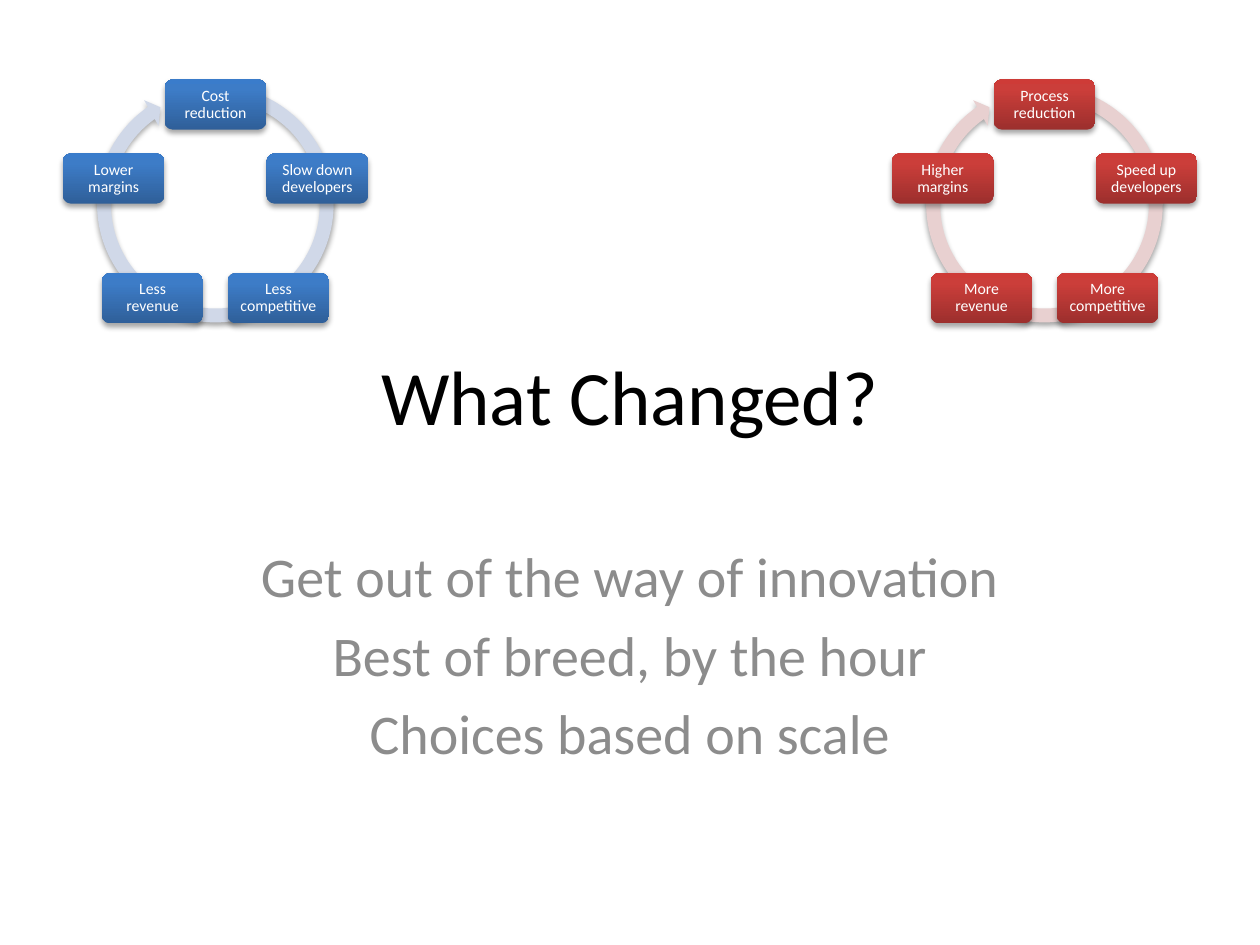
from math import cos, pi, sin

from lxml.etree import SubElement
from pptx import Presentation
from pptx.dml.color import RGBColor
from pptx.enum.shapes import MSO_SHAPE as Shape
from pptx.enum.text import MSO_ANCHOR as Anchor, PP_ALIGN as Align
from pptx.oxml.ns import qn
from pptx.util import Inches, Pt

W, H = 10, 7.5
FONT = "Calibri"
COLORS = {"title": "000000", "subtitle": "8C8C8C", "label": "FFFFFF", "shadow": "000000"}
BLUE = {"ring": "D0D8E8", "stops": [(0, "2F5F99"), (80, "3D7CC7"), (100, "3A7CCB")]}
RED = {"ring": "E8D0D0", "stops": [(0, "9C2F2D"), (80, "CB3E3A"), (100, "CE3B37")]}
RING_ADJ = (0.055, 3.307, 140.942, 171.951, 0.058)
SLOW = ["Cost reduction", "Slow down developers", "Less competitive",
        "Less revenue", "Lower margins"]
FAST = ["Process reduction", "Speed up developers", "More competitive",
        "More revenue", "Higher margins"]


def add_color(parent, color):
    """Append an RGB colour element and return it."""
    return SubElement(parent, qn("a:srgbClr"), val=color)


def add_shadow(sp):
    """Give a shape a soft shadow that falls straight down."""
    sp.shadow.inherit = False
    effects = sp._element.spPr.find(qn("a:effectLst"))
    outer = SubElement(effects, qn("a:outerShdw"), blurRad=str(Pt(3.1)),
                       dist=str(Pt(1.8)), dir="5400000", rotWithShape="0")
    SubElement(add_color(outer, COLORS["shadow"]), qn("a:alpha"), val="35000")


def fill_gradient(sp, stops):
    """Fill a shape with a gradient that runs from bottom to top."""
    sp.fill.gradient()
    sp.fill.gradient_angle = 90
    gs_list = sp._element.spPr.find(".//" + qn("a:gsLst"))
    gs_list.clear()
    for pos, color in stops:
        add_color(SubElement(gs_list, qn("a:gs"), pos=str(pos * 1000)), color)


def add_block(shapes, kind, box):
    """Add a borderless shape with a shadow in the given box."""
    sp = shapes.add_shape(kind, *map(Inches, box))
    sp.line.fill.background()
    add_shadow(sp)
    return sp


def write_text(sp, lines, size, color, anchor, before=0):
    """Write centred paragraphs into a shape."""
    tf = sp.text_frame
    tf.word_wrap = True
    tf.vertical_anchor = anchor
    tf.text = "\n".join(lines)
    for i, p in enumerate(tf.paragraphs):
        p.alignment = Align.CENTER
        if i and before:
            p.space_before = Pt(before)
        p.font.name, p.font.size = FONT, Pt(size)
        p.font.color.rgb = RGBColor.from_string(color)
    return tf


def add_cycle(slide, box, labels, theme):
    """Draw a ring arrow with its labels spaced evenly around it."""
    left, top, width, height = box
    shapes = slide.shapes.add_group_shape().shapes
    ring = add_block(shapes, Shape.CIRCULAR_ARROW,
                     (left + (width - height) / 2, top, height, height))
    for i, value in enumerate(RING_ADJ):
        ring.adjustments[i] = value
    ring.fill.solid()
    ring.fill.fore_color.rgb = RGBColor.from_string(theme["ring"])

    node_w, node_h = width / 3, height / 5
    radius = height * 0.425
    cx, cy = left + width / 2, top + node_h / 2 + radius + 0.01
    for i, label in enumerate(labels):
        angle = 2 * pi * i / len(labels)
        x, y = cx + radius * sin(angle), cy - radius * cos(angle)
        sp = add_block(shapes, Shape.ROUNDED_RECTANGLE,
                       (x - node_w / 2, y - node_h / 2, node_w, node_h))
        fill_gradient(sp, theme["stops"])
        tf = write_text(sp, [label], 9, COLORS["label"], Anchor.MIDDLE)
        tf.margin_left = tf.margin_right = Inches(0.06)
        tf.margin_top = tf.margin_bottom = Inches(0.06)
        tf.paragraphs[0].line_spacing = 0.9


def add_text(slide, box, lines, size, color, anchor, before=0):
    """Place a centred text box."""
    sp = slide.shapes.add_textbox(*map(Inches, box))
    write_text(sp, lines, size, color, anchor, before)


def main():
    """Build and save the slide."""
    prs = Presentation()
    prs.slide_width, prs.slide_height = Inches(W), Inches(H)
    slide = prs.slides.add_slide(prs.slide_layouts[6])
    add_text(slide, (W * 0.075, H * 0.31, W * 0.85, H * 0.215),
             ["What Changed?"], 44, COLORS["title"], Anchor.MIDDLE)
    add_text(slide, (W * 0.15, 4.25, W * 0.7, 1.92),
             ["Get out of the way of innovation", "Best of breed, by the hour",
              "Choices based on scale"], 32, COLORS["subtitle"], Anchor.TOP, 6.4)
    margin, cycle_w, cycle_h = W * 0.05, 2.42, 2
    for left, labels, theme in ((margin, SLOW, BLUE), (W - margin - cycle_w, FAST, RED)):
        add_cycle(slide, (left, 0.62, cycle_w, cycle_h), labels, theme)
    prs.save("out.pptx")


if __name__ == "__main__":
    main()
